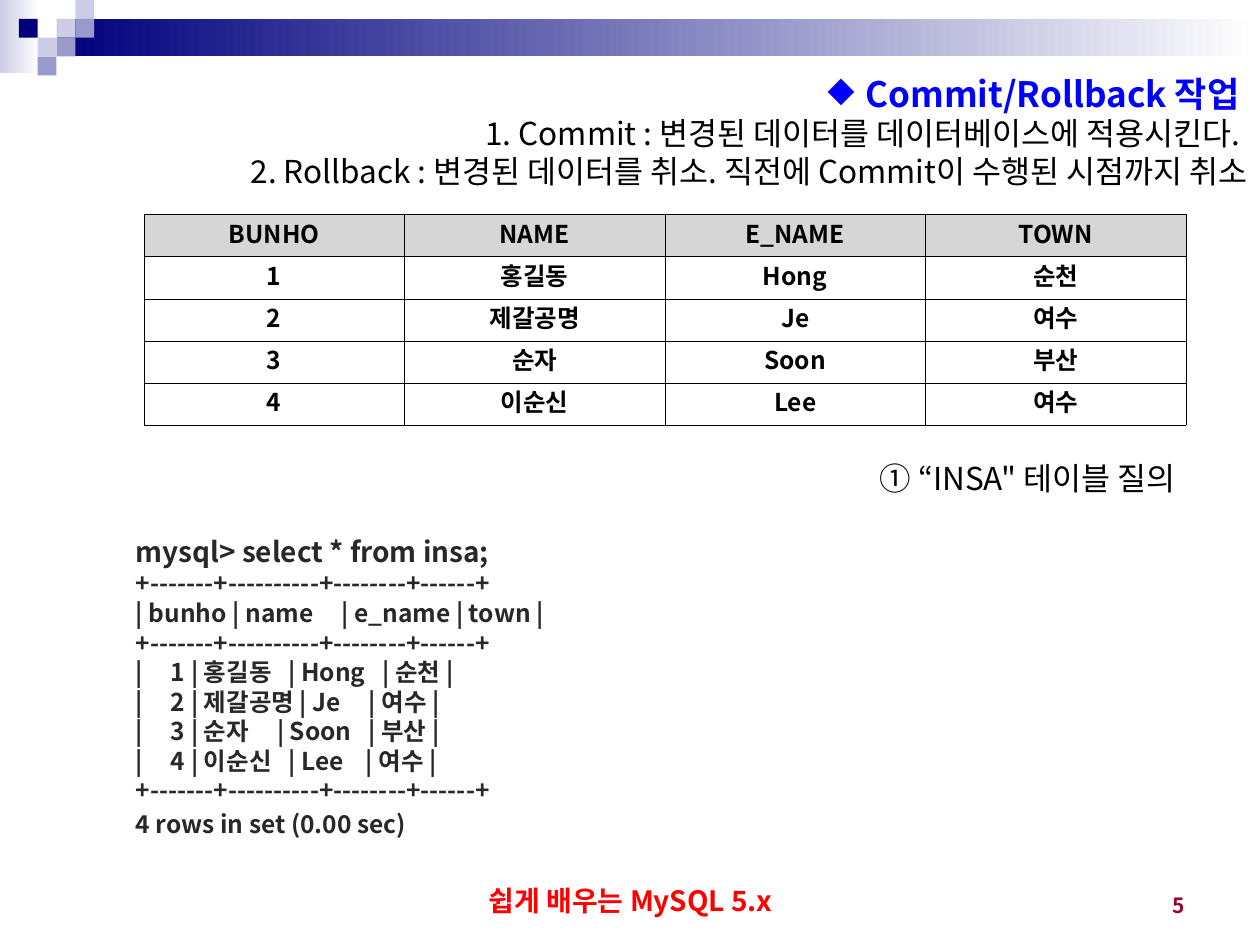
import pptx
import pptx.util
import pptx.dml.color
import pptx.enum.shapes
import pptx.enum.text
import pptx.oxml
import pptx.oxml.ns
from pptx.util import Cm

ALIGN = pptx.enum.text.PP_ALIGN
ANCHOR = pptx.enum.text.MSO_ANCHOR
FONT = "Noto Sans CJK KR"
LINE_RATIO = 1.207
NAVY, LILAC, PALE, WHITE = "00007D", "9999CC", "CCCCE6", "FFFFFF"
BLACK, INK, BLUE, RED, WINE = "000000", "282828", "0000FF", "FF0000", "990033"


def color(value):
    return pptx.dml.color.RGBColor.from_string(value)


def add_xml(parent, tag, body="", attributes=""):
    namespace = pptx.oxml.ns.nsdecls("a")
    parent.append(pptx.oxml.parse_xml(
        f"<a:{tag} {namespace} {attributes}>{body}</a:{tag}>"))


class SlideBuilder:
    def __init__(self, deck):
        self.page = deck.slides.add_slide(deck.slide_layouts[5])

    def rectangle(self, left, top, width, height, *fills):
        shape = self.page.shapes.add_shape(
            pptx.enum.shapes.MSO_SHAPE.RECTANGLE,
            Cm(left), Cm(top), Cm(width), Cm(height))
        shape.shadow.inherit = False
        shape.line.fill.background()
        if len(fills) == 1:
            shape.fill.solid()
            shape.fill.fore_color.rgb = color(fills[0])
        else:
            shape.fill.gradient()
            shape.fill.gradient_angle = 180
            for stop, value in zip(shape.fill.gradient_stops, fills):
                stop.color.rgb = color(value)

    def paragraph(self, para, text, size, ink=BLACK, bold=False,
                  align=ALIGN.LEFT, before=0, bullet=None):
        para.text = text
        para.alignment = align
        para.line_spacing = pptx.util.Pt(size * LINE_RATIO)
        para.space_before = pptx.util.Pt(before)
        properties = para._p.get_or_add_pPr()
        if bullet:
            add_xml(properties, "buClr", f'<a:srgbClr val="{ink}"/>')
            add_xml(properties, "buChar", attributes=f'char="{bullet}"')
        para.font.size = pptx.util.Pt(size)
        para.font.bold = bold
        para.font.color.rgb = color(ink)
        para.font.name = FONT
        add_xml(properties.find(pptx.oxml.ns.qn("a:defRPr")), "ea",
                attributes=f'typeface="{FONT}"')

    def fill_frame(self, frame, lines, anchor):
        frame.word_wrap = True
        frame.auto_size = pptx.enum.text.MSO_AUTO_SIZE.NONE
        frame.vertical_anchor = anchor
        for index, line in enumerate(lines):
            para = frame.add_paragraph() if index else frame.paragraphs[0]
            self.paragraph(para, **line)

    def title(self, left, top, width, height, lines):
        box = self.page.shapes.title
        box.left, box.top = Cm(left), Cm(top)
        box.width, box.height = Cm(width), Cm(height)
        self.fill_frame(box.text_frame, lines, ANCHOR.TOP)

    def text(self, left, top, width, height, lines, anchor=ANCHOR.TOP):
        box = self.page.shapes.add_textbox(
            Cm(left), Cm(top), Cm(width), Cm(height))
        self.fill_frame(box.text_frame, lines, anchor)

    def table(self, left, top, width, height, rows):
        table = self.page.shapes.add_table(
            len(rows), len(rows[0]),
            Cm(left), Cm(top), Cm(width), Cm(height)).table
        table.first_row = table.horz_banding = False
        for row_index, row in enumerate(rows):
            for column_index, text in enumerate(row):
                cell = table.cell(row_index, column_index)
                cell.vertical_anchor = ANCHOR.MIDDLE
                self.paragraph(cell.text_frame.paragraphs[0], text, 14,
                               bold=True, align=ALIGN.CENTER)
                for side in ("lnL", "lnR", "lnT", "lnB"):
                    add_xml(cell._tc.get_or_add_tcPr(), side,
                            f'<a:solidFill><a:srgbClr val="{BLACK}"/></a:solidFill>',
                            'w="762"')
                if row_index:
                    cell.fill.background()
                else:
                    cell.fill.solid()
                    cell.fill.fore_color.rgb = color("D6D6D6")


def main():
    deck = pptx.Presentation()
    deck.slide_width, deck.slide_height = Cm(25.4), Cm(19.05)
    slide = SlideBuilder(deck)

    tile = 0.38
    slide.rectangle(0, 0, 0.79, 1.47, WHITE, PALE)
    slide.rectangle(3 * tile, tile, 24.26, 2 * tile, WHITE, NAVY)
    tiles = [(3, 1, PALE), (4, 0, PALE), (4, 1, LILAC), (2, 2, PALE),
             (1, 1, NAVY), (3, 2, LILAC), (2, 3, LILAC)]
    for column, row, fill in tiles:
        slide.rectangle(column * tile, row * tile, tile, tile, fill)

    slide.title(2.29, 1.32, 23.11, 2.64, [
        dict(text=" Commit/Rollback 작업 ", size=20, ink=BLUE, bold=True,
             align=ALIGN.RIGHT, bullet="◆"),
        dict(text="1. Commit : 변경된 데이터를 데이터베이스에 적용시킨다. ",
             size=18, align=ALIGN.RIGHT),
        dict(text="2. Rollback : 변경된 데이터를 취소. 직전에 Commit이 수행된 시점까지 취소",
             size=18, align=ALIGN.RIGHT),
    ])

    slide.table(2.9, 4.32, 21.01, 4.22, [
        ("BUNHO", "NAME", "E_NAME", "TOWN"),
        ("1", "홍길동", "Hong", "순천"),
        ("2", "제갈공명", "Je", "여수"),
        ("3", "순자", "Soon", "부산"),
        ("4", "이순신", "Lee", "여수"),
    ])

    rule = "+-------+----------+--------+------+"
    output = [
        rule,
        "| bunho | name     | e_name | town |",
        rule,
        "|     1 | 홍길동   | Hong   | 순천 |",
        "|     2 | 제갈공명 | Je     | 여수 |",
        "|     3 | 순자     | Soon   | 부산 |",
        "|     4 | 이순신   | Lee    | 여수 |",
        rule,
    ]
    code = dict(size=14, ink=INK, bold=True)
    slide.text(2.49, 9.12, 21.59, 7.87, [
        dict(text="① “INSA\" 테이블 질의 ", size=18, align=ALIGN.RIGHT),
        dict(text="mysql> select * from insa;", size=16, ink=INK,
             bold=True, before=21.7),
        *[dict(text=line, **code) for line in output],
        dict(text="4 rows in set (0.00 sec)", before=2.4, **code),
    ])

    slide.text(8.69, 17.35, 8.05, 1.27, [
        dict(text="쉽게 배우는 MySQL 5.x", size=16, ink=RED, bold=True,
             align=ALIGN.CENTER)], ANCHOR.BOTTOM)
    slide.text(18.21, 17.35, 5.92, 1.27, [
        dict(text="5", size=12, ink=WINE, bold=True, align=ALIGN.RIGHT)],
        ANCHOR.BOTTOM)

    deck.save("out.pptx")


if __name__ == "__main__":
    main()
